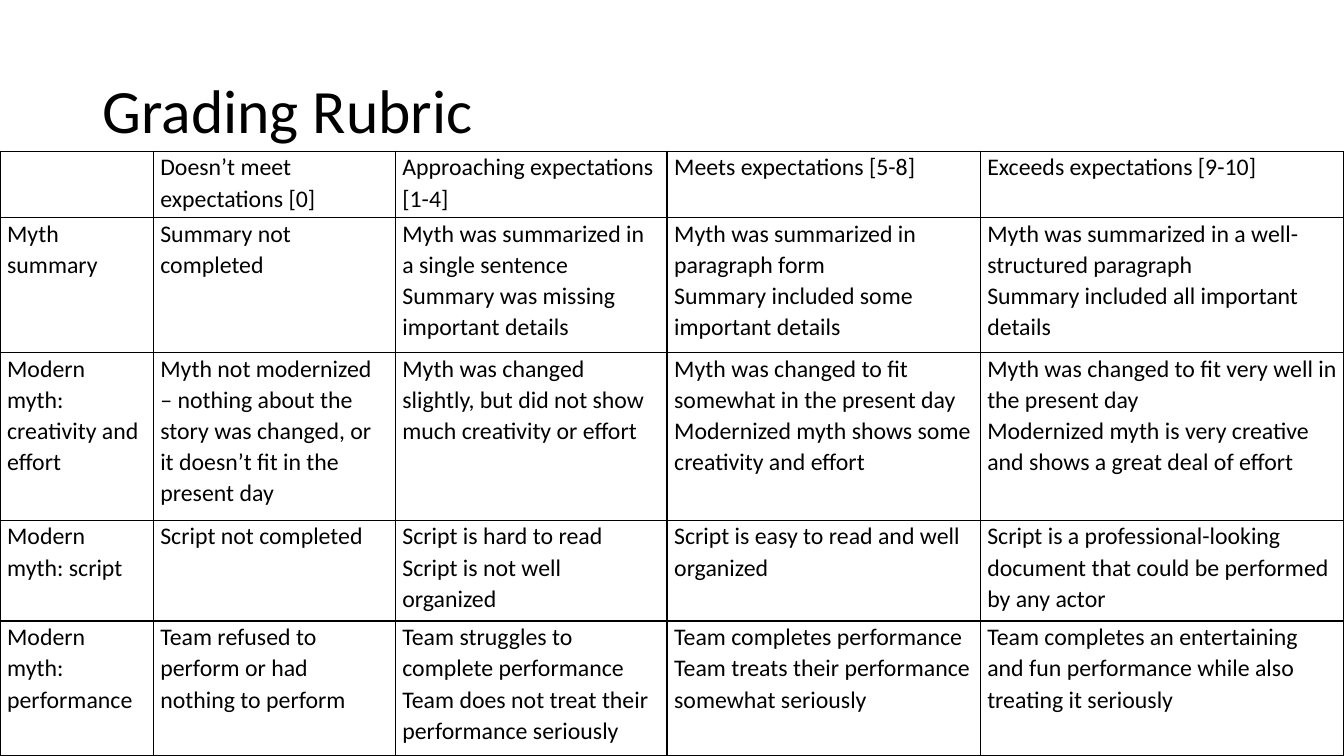
from lxml.etree import SubElement
from pptx import Presentation
from pptx.dml.color import RGBColor
from pptx.enum.text import MSO_ANCHOR, MSO_AUTO_SIZE, PP_ALIGN
from pptx.oxml.ns import qn
from pptx.util import Cm, Pt

BLACK = RGBColor(0, 0, 0)
WIDTHS = [3.86, 6.1, 6.85, 7.89, 9.17]
HEIGHTS = [1.68, 3.39, 4.23, 2.54, 3.39]
RUBRIC = [
    ["", "Doesn’t meet expectations [0]", "Approaching expectations [1-4]",
     "Meets expectations [5-8]", "Exceeds expectations [9-10]"],
    ["Myth summary", "Summary not completed",
     "Myth was summarized in a single sentence\nSummary was missing important details",
     "Myth was summarized in paragraph form\nSummary included some important details",
     "Myth was summarized in a well-structured paragraph\n"
     "Summary included all important details"],
    ["Modern myth: creativity and effort",
     "Myth not modernized – nothing about the story was changed, "
     "or it doesn’t fit in the present day",
     "Myth was changed slightly, but did not show much creativity or effort",
     "Myth was changed to fit somewhat in the present day\n"
     "Modernized myth shows some creativity and effort",
     "Myth was changed to fit very well in the present day\n"
     "Modernized myth is very creative and shows a great deal of effort"],
    ["Modern myth: script", "Script not completed",
     "Script is hard to read\nScript is not well organized",
     "Script is easy to read and well organized",
     "Script is a professional-looking document that could be performed by any actor"],
    ["Modern myth: performance", "Team refused to perform or had nothing to perform",
     "Team struggles to complete performance\n"
     "Team does not treat their performance seriously",
     "Team completes performance\nTeam treats their performance somewhat seriously",
     "Team completes an entertaining and fun performance while also treating it seriously"],
]


def apply(item, values):
    for name, value in values.items():
        setattr(item, name, value)


class Deck:
    font = "Calibri"
    color = BLACK
    inset = {"margin_left": Cm(0.18), "margin_right": Cm(0.18),
             "margin_top": 0, "margin_bottom": 0}
    plain = {"first_row": False, "horz_banding": False}

    def __init__(self, slide):
        self.slide = slide

    def label(self, frame, text, size, space):
        frame.text = text
        for para in frame.paragraphs:
            apply(para, {"line_spacing": space, "alignment": PP_ALIGN.LEFT})
            for run in para.runs:
                apply(run.font, {"name": self.font, "size": Pt(size)})
                run.font.color.rgb = self.color

    def title(self, text, left, top, width, height):
        shape = self.slide.shapes.title
        apply(shape, {"left": Cm(left), "top": Cm(top),
                      "width": Cm(width), "height": Cm(height)})
        apply(shape.text_frame, {"vertical_anchor": MSO_ANCHOR.MIDDLE,
                                 "auto_size": MSO_AUTO_SIZE.NONE})
        self.label(shape.text_frame, text, 44, 0.9)

    def border(self, cell):
        props = cell._tc.get_or_add_tcPr()
        for side in ("lnL", "lnR", "lnT", "lnB"):
            line = SubElement(props, qn(f"a:{side}"), w=str(Pt(1)))
            fill = SubElement(line, qn("a:solidFill"))
            SubElement(fill, qn("a:srgbClr"), val=str(self.color))

    def table(self, rows, widths, heights, left, top):
        table = self.slide.shapes.add_table(
            len(rows), len(widths), Cm(left), Cm(top),
            Cm(sum(widths)), Cm(sum(heights))).table
        apply(table, self.plain)
        for col, width in zip(table.columns, widths):
            col.width = Cm(width)
        for row, height, texts in zip(table.rows, heights, rows):
            row.height = Cm(height)
            for cell, text in zip(row.cells, texts):
                apply(cell, self.inset)
                self.border(cell)
                cell.fill.background()
                self.label(cell.text_frame, text, 17, 1.07)


show = Presentation()
apply(show, {"slide_width": Cm(33.87), "slide_height": Cm(19.05)})
deck = Deck(show.slides.add_slide(show.slide_layouts[5]))
deck.title("Grading Rubric", 2.33, 1.01, 29.21, 3.68)
deck.table(RUBRIC, WIDTHS, HEIGHTS, 0, 3.81)
show.save("out.pptx")
